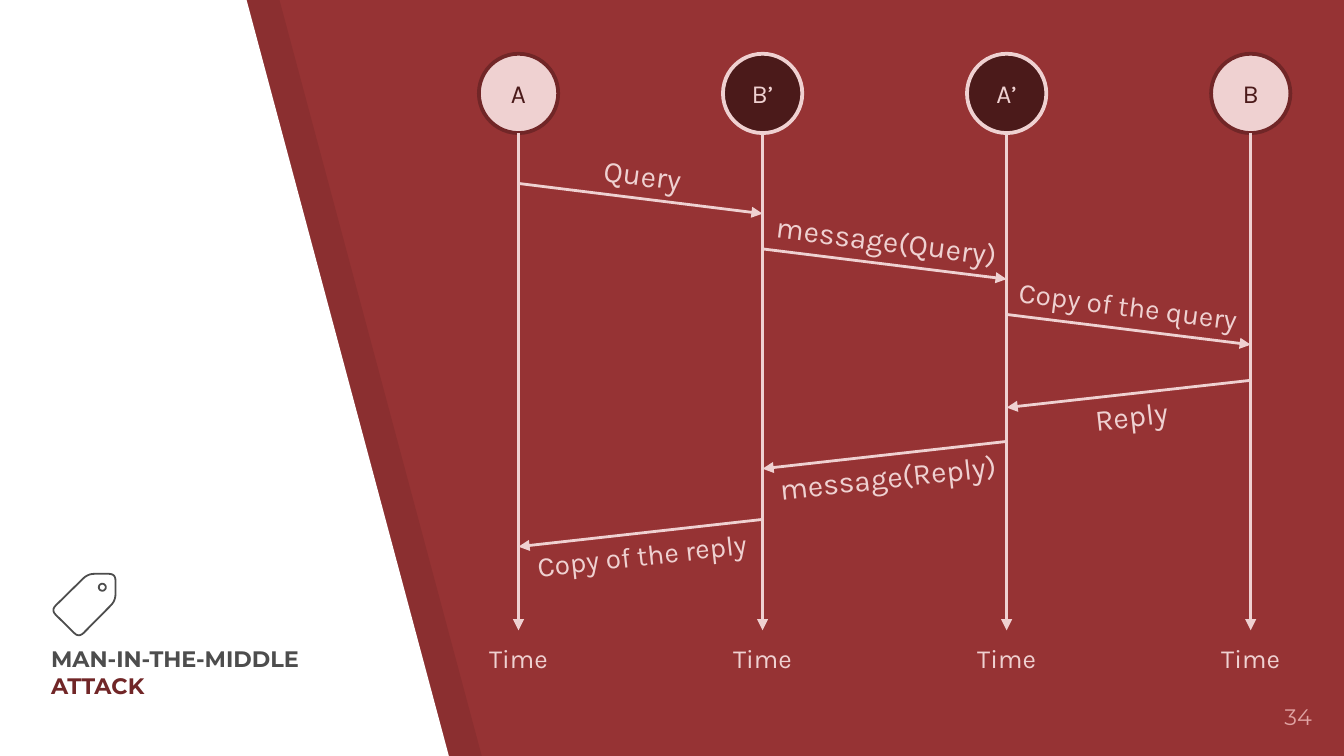
from lxml import etree
from pptx import Presentation
from pptx.dml.color import RGBColor
from pptx.enum.shapes import MSO_CONNECTOR, MSO_SHAPE
from pptx.enum.text import MSO_ANCHOR, MSO_AUTO_SIZE, PP_ALIGN
from pptx.oxml.ns import qn
from pptx.util import Inches, Pt
import math

LEFT, CENTER, RIGHT = PP_ALIGN.LEFT, PP_ALIGN.CENTER, PP_ALIGN.RIGHT
TOP, MIDDLE, BOTTOM = MSO_ANCHOR.TOP, MSO_ANCHOR.MIDDLE, MSO_ANCHOR.BOTTOM
STRAIGHT, OVAL = MSO_CONNECTOR.STRAIGHT, MSO_SHAPE.OVAL

RED = RGBColor(0x96, 0x33, 0x34)
DARK_RED = RGBColor(0x71, 0x26, 0x27)
MAROON = RGBColor(0x4B, 0x1A, 0x1A)
PINK = RGBColor(0xEF, 0xD1, 0xD1)
ROSE = RGBColor(0xE0, 0xA3, 0xA3)
GRAY = RGBColor(0x4D, 0x4D, 0x4D)
WHITE = RGBColor(0xFF, 0xFF, 0xFF)
BLACK = RGBColor(0, 0, 0)
HEAD_FONT, BODY_FONT = "Montserrat", "Karla"

# Grid of 100 columns by 56.25 rows, each cell a tenth of an inch
COLS, ROWS = 100, 56.25
WIDTH, HEIGHT = Inches(10), Inches(5.625)

# Lifelines
LANE_LEFT, LANE_GAP = 38.58, 18.16
CIRCLE_TOP, CIRCLE_SIZE = 4, 5.9
LINE_TOP, LINE_END = 9.9, 46.9
ACTORS = [("A", False), ("B’", True), ("A’", True), ("B", False)]

# Messages: text, size, from lane, to lane, start row, label shift
MESSAGES = [
    ("Query", 16, 0, 1, 13.65, 0.15),
    ("message(Query)", 16, 1, 2, 18.52, 0.15),
    ("Copy of the query", 15, 2, 3, 23.4, -0.05),
    ("Reply", 16, 3, 2, 28.3, 0.2),
    ("message(Reply)", 16, 2, 1, 32.85, 0.25),
    ("Copy of the reply", 15, 1, 0, 38.65, 0.1),
]


def add_run(p, text, size=14, font=BODY_FONT, color=PINK, bold=False):
    r = p.add_run()
    r.text = text
    r.font.size, r.font.name, r.font.bold = Pt(size), font, bold
    r.font.color.rgb = color


def lane_x(lane):
    return LANE_LEFT + LANE_GAP * lane


def round_corners(corners, cut, steps=6):
    """Replace each corner by a curve that starts and ends `cut` away from it."""
    points = []
    for i, corner in enumerate(corners):
        ends = []
        for other in (corners[i - 1], corners[(i + 1) % len(corners)]):
            share = cut / math.dist(corner, other)
            ends.append([c + (o - c) * share for c, o in zip(corner, other)])
        for k in range(steps + 1):
            t = k / steps
            points.append([(1 - t) ** 2 * a + 2 * t * (1 - t) * c + t * t * b
                           for a, c, b in zip(ends[0], corner, ends[1])])
    return points


def circle_points(cx, cy, radius, count=24):
    angles = [2 * math.pi * k / count for k in range(count)]
    return [(cx + radius * math.cos(a), cy + radius * math.sin(a)) for a in angles]


class Deck:
    def __init__(self):
        self.prs = Presentation()
        self.prs.slide_width, self.prs.slide_height = WIDTH, HEIGHT
        self.s = self.prs.slides.add_slide(self.prs.slide_layouts[5])
        self.s.background.fill.solid()
        self.s.background.fill.fore_color.rgb = RED

    def at(self, *lengths):
        """Turn alternating columns and rows into slide lengths."""
        units = (WIDTH / COLS, HEIGHT / ROWS)
        return [round(v * units[i % 2]) for i, v in enumerate(lengths)]

    def paint(self, sp, fill=None, line=None, width=1):
        sp.shadow.inherit = False
        if fill is None:
            sp.fill.background()
        else:
            sp.fill.solid()
            sp.fill.fore_color.rgb = fill
        if line is None:
            sp.line.fill.background()
        else:
            sp.line.color.rgb, sp.line.width = line, Pt(width)

    def outline(self, *contours, alpha=None, **style):
        first, *others = [[self.at(*pt) for pt in c] for c in contours]
        builder = self.s.shapes.build_freeform(*first[0])
        builder.add_line_segments(first[1:], close=True)
        for contour in others:
            builder.move_to(*contour[0])
            builder.add_line_segments(contour[1:], close=True)
        sp = builder.convert_to_shape()
        self.paint(sp, **style)
        if alpha is not None:
            color = sp._element.spPr.find(qn("a:solidFill"))[0]
            etree.SubElement(color, qn("a:alpha"), val=str(alpha * 1000))

    def title(self, parts, box):
        sp = self.s.shapes.title
        self.s.shapes._spTree.append(sp._element)  # in front of the panels
        sp.left, sp.top, sp.width, sp.height = self.at(*box)
        tf = sp.text_frame
        tf.auto_size, tf.word_wrap = MSO_AUTO_SIZE.NONE, True
        tf.vertical_anchor = BOTTOM
        tf.margin_top = tf.margin_bottom = tf.margin_left = tf.margin_right = Inches(0.1)
        p = tf.paragraphs[0]
        p.alignment = LEFT
        for text, color in parts:
            add_run(p, text, size=12, font=HEAD_FONT, color=color, bold=True)

    def text(self, text, box, angle=0, align=CENTER, anchor=MIDDLE, inset=0.05, **style):
        sp = self.s.shapes.add_textbox(*self.at(*box))
        sp.rotation = angle
        tf = sp.text_frame
        tf.word_wrap, tf.vertical_anchor = True, anchor
        tf.margin_top = tf.margin_bottom = Inches(inset)
        p = tf.paragraphs[0]
        p.alignment = align
        add_run(p, text, **style)

    def circle(self, text, box, fill, line, color):
        sp = self.s.shapes.add_shape(OVAL, *self.at(*box))
        self.paint(sp, fill, line, 2)
        tf = sp.text_frame
        tf.margin_left = tf.margin_right = 0
        tf.vertical_anchor = MIDDLE
        p = tf.paragraphs[0]
        p.alignment = CENTER
        add_run(p, text, color=color)

    def arrow(self, x1, y1, x2, y2):
        line = self.s.shapes.add_connector(STRAIGHT, *self.at(x1, y1, x2, y2))
        line.line.color.rgb, line.line.width = PINK, Pt(1.5)
        etree.SubElement(line.line._get_or_add_ln(), qn("a:tailEnd"), type="triangle")
        etree.SubElement(line._element.spPr, qn("a:effectLst"))


def main():
    deck = Deck()

    # Slanted white panel over its shade
    for left, style in ((2.3, dict(fill=BLACK, alpha=7)), (0, dict(fill=WHITE))):
        top_right = 20.8 if left else 18.35
        bottom_right = top_right + 15.05
        deck.outline([(left, 0), (left, ROWS), (bottom_right, ROWS), (top_right, 0)],
                     **style)

    # Title, slide number and tag icon
    deck.title([("MAN-IN-THE-MIDDLE ", GRAY), ("ATTACK", DARK_RED)],
               (2.8, 47.7, 21.6, 5.3))
    deck.text("34", (92.6, 51.3, 6, 4.3), align=RIGHT, anchor=TOP, inset=0.1,
              size=12, font=HEAD_FONT, color=ROSE)
    tag = [(3.8, 45.4), (6.55, 42.7), (8.6, 42.7), (8.6, 44.7), (5.88, 47.45)]
    deck.outline(round_corners(tag, 0.5), circle_points(7.62, 43.7, 0.26),
                 line=GRAY, width=0.96)

    # Actors with their time lines
    for lane, (name, attacker) in enumerate(ACTORS):
        x = lane_x(lane)
        fill, line, color = (MAROON, PINK, PINK) if attacker else (PINK, DARK_RED, MAROON)
        deck.circle(name, (x - CIRCLE_SIZE / 2, CIRCLE_TOP, CIRCLE_SIZE, CIRCLE_SIZE),
                    fill, line, color)
        deck.arrow(x, LINE_TOP, x, LINE_END)
        deck.text("Time", (x - 4.65, 47.3, 9.3, 3.4))

    # Messages: queries are labelled above the arrow, replies below
    for text, size, start, end, row, shift in MESSAGES:
        drop, offset, angle = (2.25, -1.8, 7.2) if end > start else (2.03, 1.6, -6.2)
        deck.arrow(lane_x(start), row, lane_x(end), row + drop)
        x, y = lane_x((start + end) / 2) + shift, row + drop / 2 + offset
        deck.text(text, (x - 9.6, y - 1.85, 19.2, 3.7), angle=angle, size=size)

    deck.prs.save("out.pptx")


if __name__ == "__main__":
    main()
